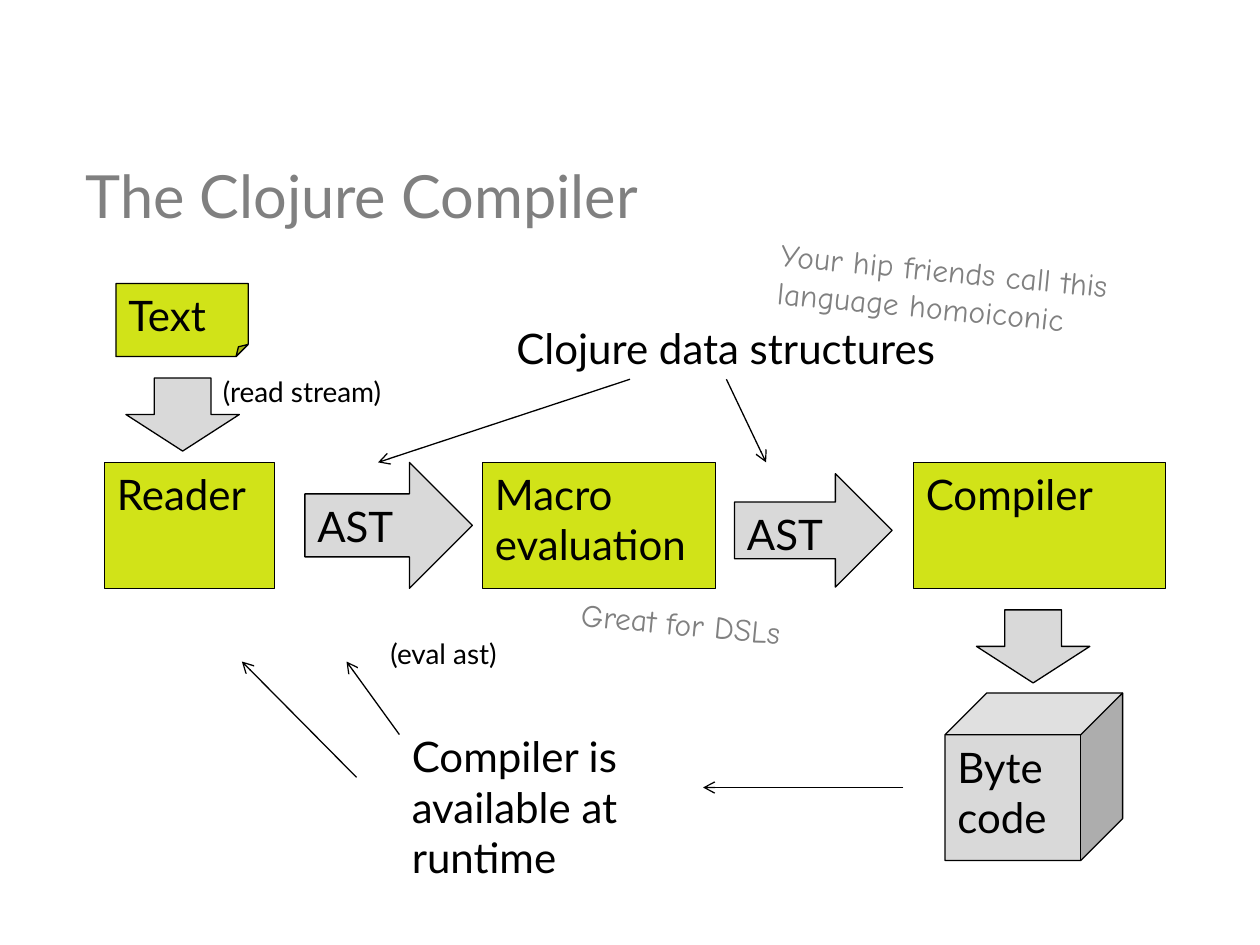
from lxml.etree import SubElement
from pptx import Presentation
from pptx.dml.color import RGBColor
from pptx.enum.shapes import MSO_CONNECTOR, MSO_SHAPE
from pptx.enum.text import MSO_ANCHOR, PP_ALIGN
from pptx.oxml.ns import qn
from pptx.util import Inches, Pt

LIME, GREY, BLACK, MUTED = "D1E318", "D9D9D9", "000000", "808080"


def color(hex_value):
    """Return the colour for a hex string."""
    return RGBColor.from_string(hex_value)


def write(shape, text, size, font="Lato", hex_value=BLACK, anchor=MSO_ANCHOR.TOP, wrap=True):
    """Put left-aligned, formatted text into a shape."""
    frame = shape.text_frame
    frame.text = text
    frame.word_wrap = wrap
    frame.vertical_anchor = anchor
    for paragraph in frame.paragraphs:
        paragraph.alignment = PP_ALIGN.LEFT
        for run in paragraph.runs:
            run.font.size = Pt(size)
            run.font.name = font
            run.font.color.rgb = color(hex_value)


def add_block(slide, kind, box, fill, text=""):
    """Add an outlined preset shape, with text if given."""
    shape = slide.shapes.add_shape(kind, *map(Inches, box))
    shape.shadow.inherit = False
    shape.fill.solid()
    shape.fill.fore_color.rgb = color(fill)
    shape.line.color.rgb = color(BLACK)
    shape.line.width = Pt(0.75)
    if text:
        write(shape, text, 24)
    return shape


def add_label(slide, box, text, size, **style):
    """Add a text box and return it."""
    label = slide.shapes.add_textbox(*map(Inches, box))
    write(label, text, size, **style)
    return label


def add_remark(slide, box, text):
    """Add a tilted handwritten remark."""
    remark = add_label(slide, box, text, 18, font="Comic Neue", hex_value=MUTED)
    remark.rotation = 5.4


def add_arrow(slide, start, end):
    """Add a thin line with an open arrowhead at its end."""
    arrow = slide.shapes.add_connector(MSO_CONNECTOR.STRAIGHT, *map(Inches, start + end))
    arrow.line.color.rgb = color(BLACK)
    arrow.line.width = Pt(0.75)
    SubElement(arrow.line._get_or_add_ln(), qn("a:tailEnd"), type="arrow")
    SubElement(arrow._element.spPr, qn("a:effectLst"))
    return arrow


def main():
    """Build the compiler pipeline slide."""
    presentation = Presentation()
    presentation.slide_width, presentation.slide_height = Inches(10), Inches(7.5)
    slide = presentation.slides.add_slide(presentation.slide_layouts[6])

    add_label(slide, (0.58, 1.17, 8.25, 0.75), "The Clojure Compiler", 34,
              hex_value=MUTED, anchor=MSO_ANCHOR.MIDDLE)

    for left, width, stage in ((0.83, 1.35, "Reader"), (3.83, 1.85, "Macro evaluation"),
                               (7.25, 2, "Compiler")):
        add_block(slide, MSO_SHAPE.RECTANGLE, (left, 3.67, width, 1), LIME, stage)
    add_block(slide, MSO_SHAPE.FOLDED_CORNER, (0.92, 2.25, 1.05, 0.58), LIME, "Text")
    add_block(slide, MSO_SHAPE.CUBE, (7.5, 5.5, 1.41, 1.33), GREY, "Byte code")

    for box in ((2.42, 3.67, 1.33, 1), (5.83, 3.76, 1.25, 0.9)):
        add_block(slide, MSO_SHAPE.RIGHT_ARROW, box, GREY, "AST")
    for left, top in ((1, 3), (7.75, 4.84)):
        add_block(slide, MSO_SHAPE.DOWN_ARROW, (left, top, 0.9, 0.58), GREY)

    structures = add_label(slide, (4, 2.51, 3.53, 0.5), "Clojure data structures", 24, wrap=False)
    add_label(slide, (3, 5, 1.12, 0.37), "(eval ast)", 16, wrap=False)
    add_label(slide, (1.67, 2.92, 1.55, 0.37), "(read stream)", 16, wrap=False)
    add_label(slide, (3.17, 5.75, 2.5, 1.31), "Compiler is available at runtime", 24)

    for start, end in (((5, 3.01), (3, 3.67)), ((7.17, 6.25), (5.58, 6.25)),
                       ((2.83, 6.17), (1.92, 5.25)), ((3.17, 5.83), (2.75, 5.25))):
        add_arrow(slide, start, end)
    add_arrow(slide, (5.77, 3.01), (6.08, 3.67)).begin_connect(structures, 2)

    add_remark(slide, (6.08, 1.97, 3.43, 0.71), "Your hip friends call this language homoiconic")
    add_remark(slide, (4.51, 4.79, 2.71, 0.4), "Great for DSLs")

    presentation.save("out.pptx")


if __name__ == "__main__":
    main()
